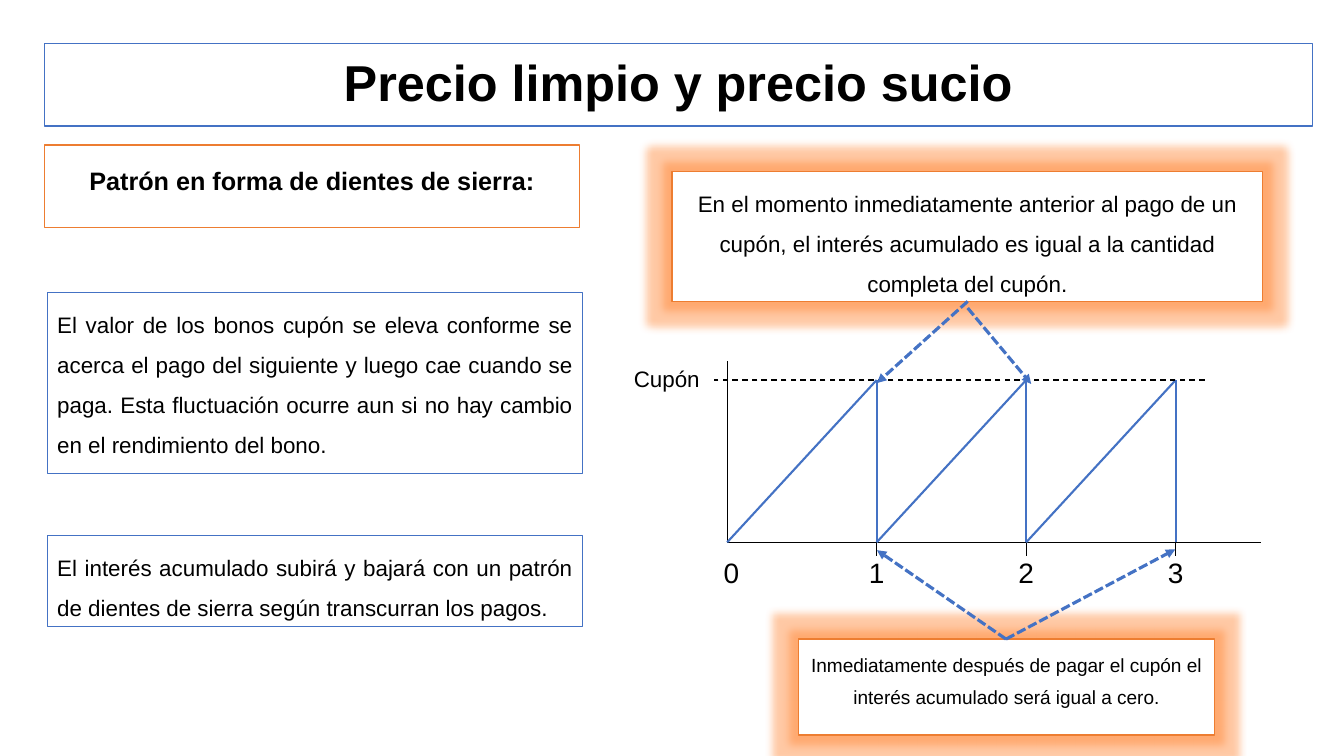
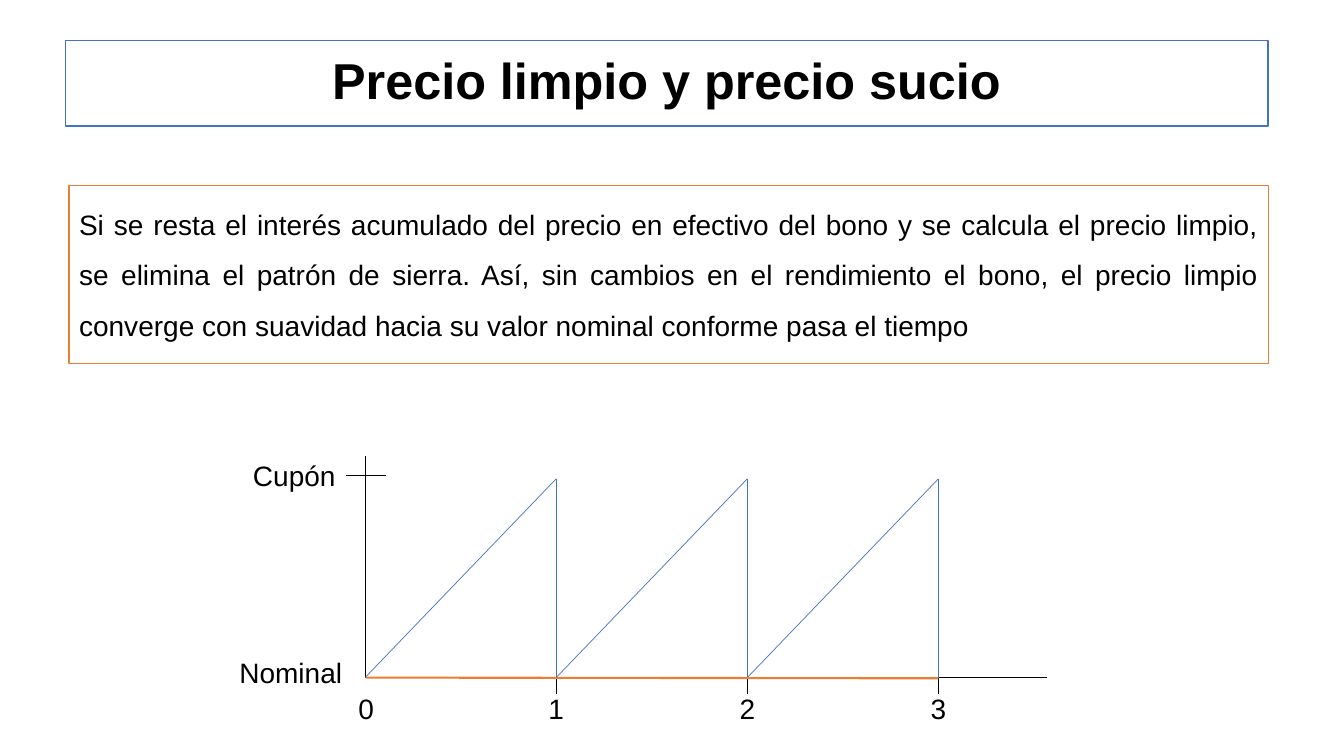
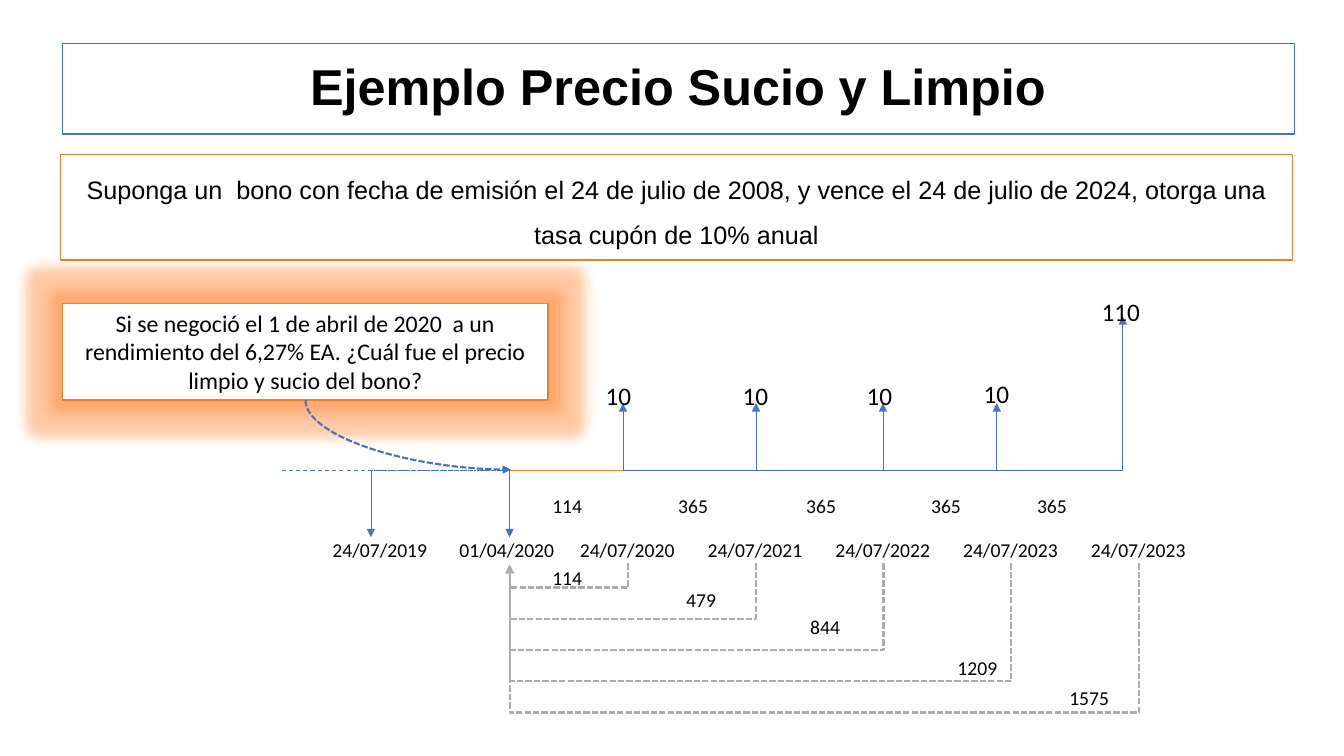
from dataclasses import dataclass

from lxml import etree
from pptx import Presentation
from pptx.dml.color import RGBColor
from pptx.enum.dml import MSO_LINE
from pptx.enum.shapes import MSO_CONNECTOR, MSO_SHAPE
from pptx.enum.text import MSO_ANCHOR, MSO_AUTO_SIZE, PP_ALIGN
from pptx.oxml.ns import qn
from pptx.util import Pt

DASH, SHORT_DASH = MSO_LINE.DASH, MSO_LINE.SQUARE_DOT
LEFT, CENTER, JUSTIFY = PP_ALIGN.LEFT, PP_ALIGN.CENTER, PP_ALIGN.JUSTIFY
TOP, MIDDLE = MSO_ANCHOR.TOP, MSO_ANCHOR.MIDDLE
STRAIGHT, ELBOW, CURVE = MSO_CONNECTOR.STRAIGHT, MSO_CONNECTOR.ELBOW, MSO_CONNECTOR.CURVE
RECTANGLE = MSO_SHAPE.RECTANGLE
GROW = MSO_AUTO_SIZE.SHAPE_TO_FIT_TEXT


@dataclass(frozen=True)
class Theme:
    black: str = "000000"
    white: str = "FFFFFF"
    blue: str = "4472C4"
    orange: str = "ED7D31"
    gray: str = "AFABAB"
    glow: str = "FF7A20"
    font: str = "Arial"
    timeline_font: str = "Calibri"
    title: float = 36
    large: float = 20
    medium: float = 18
    question: float = 17
    body: float = 16
    small: float = 14
    note: float = 13.6
    hairline: float = 0.5
    border: float = 1
    strong: float = 1.5
    pointer: float = 2.25


THEME = Theme()


def rgb(color):
    return RGBColor.from_string(color)


def write_text(frame, text, size=THEME.body, font=THEME.font, bold=False,
               align=LEFT, anchor=TOP, spacing=1.0, before=0, wrap=True):
    frame.word_wrap = wrap
    frame.vertical_anchor = anchor
    paragraph = frame.paragraphs[0]
    paragraph.alignment = align
    paragraph.line_spacing = spacing
    paragraph.space_before = Pt(before)
    run = paragraph.add_run()
    run.text = text
    run.font.size = Pt(size)
    run.font.name = font
    run.font.bold = bold
    run.font.color.rgb = rgb(THEME.black)


def add_label(slide, text, left, top, width, height, **text_format):
    label = slide.shapes.add_textbox(Pt(left), Pt(top), Pt(width), Pt(height))
    write_text(label.text_frame, text, **text_format)
    label.text_frame.auto_size = GROW


def add_box(slide, text, bounds, color, glow=0, **text_format):
    """Outlined white box; glow is the radius of its halo."""
    box = slide.shapes.add_shape(RECTANGLE, *map(Pt, bounds))
    box.shadow.inherit = False
    box.fill.solid()
    box.fill.fore_color.rgb = rgb(THEME.white)
    box.line.color.rgb = rgb(color)
    box.line.width = Pt(THEME.border)
    write_text(box.text_frame, text, **text_format)
    if glow:
        effects = box._element.spPr.find(qn("a:effectLst"))
        halo = etree.SubElement(effects, qn("a:glow"), rad=str(Pt(glow)))
        tint = etree.SubElement(halo, qn("a:srgbClr"), val=THEME.glow)
        etree.SubElement(tint, qn("a:alpha"), val="40000")


def add_title(slide, text, bounds):
    add_box(slide, text, bounds, THEME.blue, size=THEME.title, bold=True,
            align=CENTER, anchor=MIDDLE, spacing=0.9)


def add_paragraph_box(slide, text, bounds, color, size=THEME.body,
                      align=JUSTIFY, spacing=1.5, glow=0):
    add_box(slide, text, bounds, color, glow, size=size, align=align,
            spacing=spacing, before=0.2 * size)


def add_line(slide, start, end, color=THEME.black, width=THEME.hairline,
             dash=None, arrow=False, kind=STRAIGHT):
    line = slide.shapes.add_connector(kind, *map(Pt, (*start, *end)))
    line.line.color.rgb = rgb(color)
    line.line.width = Pt(width)
    if dash:
        line.line.dash_style = dash
    properties = line._element.spPr
    if arrow:
        etree.SubElement(properties.find(qn("a:ln")), qn("a:tailEnd"), type="triangle")
    etree.SubElement(properties, qn("a:effectLst"))
    return line


def turn_connector(line, start, end, preset, degrees, flip=False, bend=None):
    """Turn a connector a quarter so that it leaves its start vertically."""
    (x1, y1), (x2, y2) = start, end
    width, height = abs(y2 - y1), abs(x2 - x1)
    line.left, line.top = Pt((x1 + x2 - width) / 2), Pt((y1 + y2 - height) / 2)
    line.width, line.height = Pt(width), Pt(height)
    properties = line._element.spPr
    frame = properties.find(qn("a:xfrm"))
    for mirror in ("flipH", "flipV"):
        frame.attrib.pop(mirror, None)
    frame.set("rot", str(degrees * 60000))
    if flip:
        frame.set("flipH", "1")
    geometry = properties.find(qn("a:prstGeom"))
    geometry.set("prst", preset)
    if bend is not None:
        adjustments = geometry.find(qn("a:avLst"))
        if adjustments is None:
            adjustments = etree.SubElement(geometry, qn("a:avLst"))
        etree.SubElement(adjustments, qn("a:gd"), name="adj1",
                         fmla=f"val {round(bend / width * 100000)}")


def add_sawtooth(slide, origin, period, peak, axis_end, tick, label_top,
                 width, zero_shift):
    """Axes, three numbered periods and the interest that drops at each end."""
    x0, base = origin
    right, top = axis_end
    add_line(slide, origin, (right, base))
    add_line(slide, origin, (x0, top))
    label_width = 34
    for number in range(4):
        x = x0 + number * period
        center = x if number else x + zero_shift
        add_label(slide, str(number), center - label_width / 2, label_top,
                  label_width, 31, size=THEME.large, align=CENTER)
        if number:
            add_line(slide, (x, base - tick), (x, base + tick))
            add_line(slide, (x, base), (x, peak), THEME.blue, width)
            add_line(slide, (x - period, base), (x, peak), THEME.blue, width)


def build_pattern(slide):
    add_title(slide, "Precio limpio y precio sucio", (31.7, 31, 905.8, 59))
    add_box(slide, "Patrón en forma de dientes de sierra:", (31.7, 103.7, 382.3, 59),
            THEME.orange, size=THEME.medium, bold=True, align=CENTER,
            spacing=1.5, before=10)
    add_paragraph_box(
        slide, "El valor de los bonos cupón se eleva conforme se acerca el pago del "
        "siguiente y luego cae cuando se paga. Esta fluctuación ocurre aun si no hay "
        "cambio en el rendimiento del bono.", (33.8, 208.8, 382.3, 129.6), THEME.blue)
    add_paragraph_box(
        slide, "El interés acumulado subirá y bajará con un patrón de dientes de "
        "sierra según transcurran los pagos.", (33.8, 382.7, 382.3, 65), THEME.blue)

    add_sawtooth(slide, (519.4, 387.4), 106.8, 271.5, (900.7, 257.8), 9.4,
                 393, THEME.strong, zero_shift=3)
    add_line(slide, (860.4, 271.5), (509.8, 271.5), width=THEME.border, dash=DASH)
    add_label(slide, "Cupón", 443.5, 257, 65.5, 26.6, align=CENTER)

    add_paragraph_box(
        slide, "En el momento inmediatamente anterior al pago de un cupón, el interés "
        "acumulado es igual a la cantidad completa del cupón.",
        (480, 122.4, 422, 93), THEME.orange, align=CENTER, glow=12)
    add_paragraph_box(
        slide, "Inmediatamente después de pagar el cupón el interés acumulado será "
        "igual a cero.", (570.2, 456.5, 297.4, 68.4), THEME.orange,
        size=THEME.note, align=CENTER, spacing=1.4, glow=12)
    pointers = [((691.2, 215.3), (626.4, 273.6)), ((691.2, 220), (736.6, 274.3)),
                ((718.6, 456.5), (626.4, 393)), ((718.6, 456.5), (839.5, 392.4))]
    for start, end in pointers:
        add_line(slide, start, end, THEME.blue, THEME.pointer, SHORT_DASH, arrow=True)


def build_clean_price(slide):
    add_title(slide, "Precio limpio y precio sucio", (46.8, 28.8, 859, 61.2))
    add_paragraph_box(
        slide, "Si se resta el interés acumulado del precio en efectivo del bono y se "
        "calcula el precio limpio, se elimina el patrón de sierra. Así, sin cambios en "
        "el rendimiento el bono, el precio limpio converge con suavidad hacia su valor "
        "nominal conforme pasa el tiempo", (49.4, 132.5, 856.8, 127.4),
        THEME.orange, size=THEME.large)
    add_sawtooth(slide, (260.8, 484), 136.5, 342, (748, 325.5), 11.5,
                 490.2, THEME.hairline, zero_shift=0.8)
    add_line(slide, (247, 339.8), (275.8, 339.8))
    add_line(slide, (261.4, 484), (670.3, 484.5), THEME.orange, THEME.strong)
    for name, bounds in (("Cupón", (173.5, 324, 73.4, 31.7)),
                         ("Nominal", (158.4, 464.4, 98.6, 31.7))):
        add_label(slide, name, *bounds, size=THEME.large, align=CENTER)


def add_timeline_label(slide, text, left, top, size=THEME.small, width=83):
    add_label(slide, text, left, top, width, 22, size=size,
              font=THEME.timeline_font, wrap=False)


def add_bracket(slide, start, end, depth):
    line = add_line(slide, start, end, THEME.gray, THEME.strong, SHORT_DASH,
                    arrow=True, kind=ELBOW)
    turn_connector(line, start, end, "bentConnector3", 90, bend=depth)


def build_example(slide):
    add_title(slide, "Ejemplo Precio Sucio y Limpio", (44.6, 31, 880, 64.8))
    add_paragraph_box(
        slide, "Suponga un  bono con fecha de emisión el 24 de julio de 2008, y vence "
        "el 24 de julio de 2024, otorga una tasa cupón de 10% anual",
        (43.2, 110.2, 880, 75.6), THEME.orange, size=THEME.medium, align=CENTER)
    add_box(slide, "Si se negoció el 1 de abril de 2020  a un rendimiento del 6,27% EA. "
            "¿Cuál fue el precio limpio y sucio del bono?", (44.6, 216.7, 347, 69.1),
            THEME.orange, glow=18, size=THEME.question, font=THEME.timeline_font,
            align=CENTER)
    axis, trade, maturity = 336.2, 364, 802
    question_edge, trade_point = (218.2, 285.8), (365, 335.5)
    curve = add_line(slide, question_edge, trade_point, THEME.blue, THEME.strong,
                     SHORT_DASH, arrow=True, kind=CURVE)
    turn_connector(curve, question_edge, trade_point, "curvedConnector2", 270, flip=True)

    add_line(slide, (trade, axis), (maturity, axis), THEME.blue)
    add_line(slide, (trade, axis), (200, axis), THEME.blue, 0.75, DASH)
    add_line(slide, (265, axis), (trade, axis), THEME.blue, dash=SHORT_DASH)
    add_line(slide, (trade, axis), (445, axis), THEME.orange)

    for date, x, left in (("24/07/2019", 265, 230.4), ("01/04/2020", trade, 321.1)):
        add_line(slide, (x, axis), (x, 383.8), THEME.blue, arrow=True)
        add_timeline_label(slide, date, left, 381)

    payments = [("10", 445, 288, 425.5, 267.8, 33), ("10", 540, 288, 523.4, 267.8, 33),
                ("10", 630.7, 288, 612, 267.8, 33), ("10", 712, 288, 695.5, 266.4, 33),
                ("110", maturity, 226, 779.8, 208, 42.5)]
    for amount, x, tip, left, top, width in payments:
        add_line(slide, (x, axis), (x, tip), THEME.blue, arrow=True)
        add_timeline_label(slide, amount, left, top, THEME.medium, width)

    for days, left in (("114", 387.4), ("365", 477.4), ("365", 568.8),
                       ("365", 658), ("365", 733.7)):
        add_timeline_label(slide, days, left, 349, width=36)

    coupons = [("24/07/2020", "114", 387.4, 401), ("24/07/2021", "479", 483.1, 416.2),
               ("24/07/2022", "844", 571.7, 435.6), ("24/07/2023", "1209", 676.8, 465.1),
               ("24/07/2023", "1575", 756.7, 486.7)]
    for index, (date, total_days, left, top) in enumerate(coupons):
        x = 448.6 + 91.25 * index
        add_timeline_label(slide, date, x - 41.5, 381)
        add_bracket(slide, (x, 402.5), (trade, 403.5), 17.3 + 22.5 * index)
        add_timeline_label(slide, total_days, left, top, width=36 if index < 3 else 43)


def main():
    deck = Presentation()
    deck.slide_width, deck.slide_height = Pt(960), Pt(540)
    blank = deck.slide_layouts[6]
    for build in (build_pattern, build_clean_price, build_example):
        build(deck.slides.add_slide(blank))
    deck.save("out.pptx")


if __name__ == "__main__":
    main()
